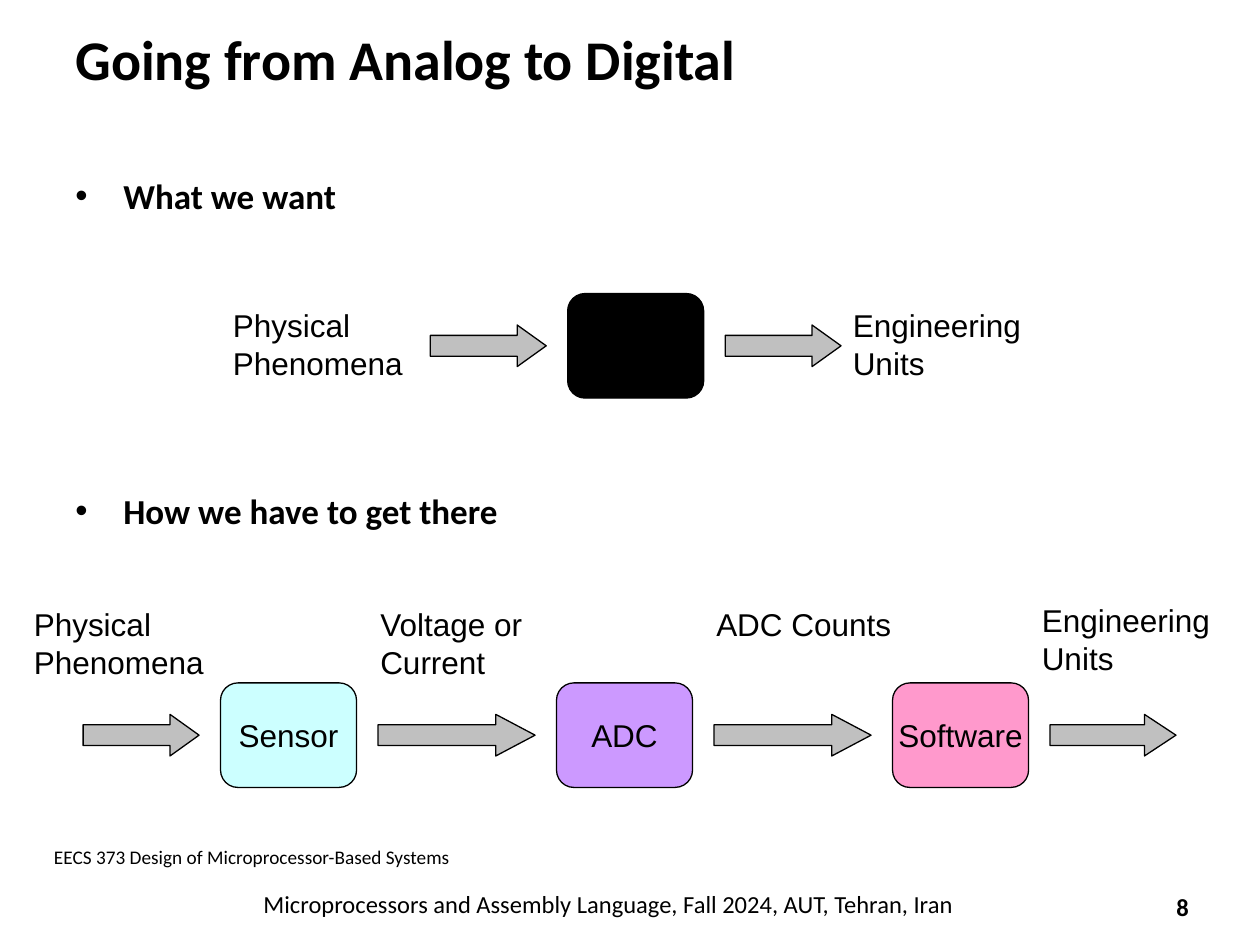
from dataclasses import dataclass

from lxml.etree import SubElement
from pptx import Presentation
from pptx.dml.color import RGBColor as RGB
from pptx.enum.shapes import MSO_SHAPE as Shape
from pptx.enum.text import MSO_ANCHOR as Anchor, PP_ALIGN as Align
from pptx.oxml.ns import qn
from pptx.util import Inches, Pt


@dataclass(frozen=True)
class Theme:
    ink: RGB = RGB(0, 0, 0)
    arrow: RGB = RGB(0xC0, 0xC0, 0xC0)
    sensor: RGB = RGB(0xCC, 0xFF, 0xFF)
    adc: RGB = RGB(0xCC, 0x99, 0xFF)
    software: RGB = RGB(0xFF, 0x99, 0xCC)
    heading_font: str = "Calibri"
    diagram_font: str = "Arial"
    title: int = 32
    bullet: int = 20
    label: int = 18
    footer: int = 14
    course: int = 11
    outline: float = 0.75


THEME = Theme()
STAGE_W, STAGE_H = 1.08, 0.83
ARROW_H = 0.33
GAP = 0.17
LABEL_W = 1.67


def style(frame, size, font, bold=False, align=Align.LEFT):
    for paragraph in frame.paragraphs:
        paragraph.alignment = align
        for run in paragraph.runs:
            run.font.size = Pt(size)
            run.font.name = font
            run.font.bold = bold
            run.font.color.rgb = THEME.ink


def add_text(slide, box, text, size, font=THEME.heading_font, bold=False,
             align=Align.LEFT, anchor=Anchor.TOP):
    frame = slide.shapes.add_textbox(*map(Inches, box)).text_frame
    frame.word_wrap = True
    frame.vertical_anchor = anchor
    frame.text = text
    style(frame, size, font, bold, align)
    return frame


def add_solid(slide, kind, box, fill):
    solid = slide.shapes.add_shape(kind, *map(Inches, box))
    solid.shadow.inherit = False
    solid.fill.solid()
    solid.fill.fore_color.rgb = fill
    solid.line.color.rgb = THEME.ink
    solid.line.width = Pt(THEME.outline)
    return solid


def add_arrow(slide, left, middle, length):
    box = (left, middle - ARROW_H / 2, length, ARROW_H)
    arrow = add_solid(slide, Shape.RIGHT_ARROW, box, THEME.arrow)
    arrow.adjustments[1] = length / 4 / ARROW_H


def add_stage(slide, left, middle, fill, name=""):
    box = (left, middle - STAGE_H / 2, STAGE_W, STAGE_H)
    stage = add_solid(slide, Shape.ROUNDED_RECTANGLE, box, fill)
    if name:
        frame = stage.text_frame
        frame.word_wrap = False
        frame.vertical_anchor = Anchor.MIDDLE
        frame.text = name
        style(frame, THEME.label, THEME.diagram_font, align=Align.CENTER)


def add_label(slide, left, top, text):
    add_text(slide, (left, top, LABEL_W, 0.71), text, THEME.label, THEME.diagram_font)


def add_goals(slide, box, goals, gap):
    frame = add_text(slide, box, "\n".join(goals), THEME.bullet, bold=True)
    for index, paragraph in enumerate(frame.paragraphs):
        properties = paragraph._p.get_or_add_pPr()
        properties.set("marL", str(Inches(0.38)))
        properties.set("indent", str(-Inches(0.38)))
        SubElement(properties, qn("a:buFont")).set("typeface", "Arial")
        SubElement(properties, qn("a:buChar")).set("char", "•")
        paragraph.line_spacing = 1.5
        if index:
            paragraph.space_before = Pt(gap)


def add_black_box(slide, box):
    left, top, width, height = box
    middle = top + height / 2
    stage_left = left + (width - STAGE_W) / 2
    arrow_length = 0.92
    add_stage(slide, stage_left, middle, THEME.ink)
    add_arrow(slide, stage_left - GAP - arrow_length, middle, arrow_length)
    add_arrow(slide, stage_left + STAGE_W + GAP, middle, arrow_length)
    add_label(slide, left, top + 0.05, "Physical\nPhenomena")
    add_label(slide, left + width - LABEL_W, top + 0.05, "Engineering Units")


def add_pipeline(slide, box):
    left, top, width, height = box
    middle = top + height - STAGE_H / 2
    first, pitch = left + 1.58, 8 / 3
    stages = [("Sensor", THEME.sensor), ("ADC", THEME.adc), ("Software", THEME.software)]
    arrow_lengths = [pitch - STAGE_W - 2 * GAP] * (len(stages) - 1) + [1]

    add_arrow(slide, first - GAP - 0.92, middle, 0.92)
    for index, ((name, fill), length) in enumerate(zip(stages, arrow_lengths)):
        stage_left = first + index * pitch
        add_stage(slide, stage_left, middle, fill, name)
        add_arrow(slide, stage_left + STAGE_W + GAP, middle, length)

    add_label(slide, left, top, "Physical\nPhenomena")
    add_label(slide, left + 2.75, top, "Voltage or\nCurrent")
    add_label(slide, left + 2.75 + pitch, top, "ADC Counts")
    add_label(slide, left + width - LABEL_W, top - 0.03, "Engineering Units")


def add_footer(slide, box):
    left, top, width, height = box
    add_text(slide, (left, top, 9.08, 0.29),
             "EECS 373 Design of Microprocessor-Based Systems", THEME.course)
    add_text(slide, (left + 0.75, top + 0.35, 7.5, 0.34),
             "Microprocessors and Assembly Language, Fall 2024, AUT, Tehran, Iran",
             THEME.footer, align=Align.CENTER)
    number = add_text(slide, (left + width - 0.59, top + height - 0.4, 0.59, 0.4), "8",
                      THEME.footer, bold=True, align=Align.CENTER, anchor=Anchor.MIDDLE)
    number.margin_left = number.margin_right = 0
    number.margin_top = number.margin_bottom = 0


def main():
    deck = Presentation()
    deck.slide_width, deck.slide_height = Inches(10), Inches(7.5)
    slide = deck.slides.add_slide(deck.slide_layouts[6])
    add_text(slide, (0.5, 0, 9, 0.92), "Going from Analog to Digital",
             THEME.title, bold=True, anchor=Anchor.MIDDLE)
    add_goals(slide, (0.5, 1.17, 9.25, 4.09),
              ["What we want", "How we have to get there"], 144)
    add_black_box(slide, (1.75, 2.33, 6.59, STAGE_H))
    add_pipeline(slide, (0.17, 4.75, 9.67, 1.5))
    add_footer(slide, (0.33, 6.66, 9.35, 0.74))
    deck.save("out.pptx")


if __name__ == "__main__":
    main()
